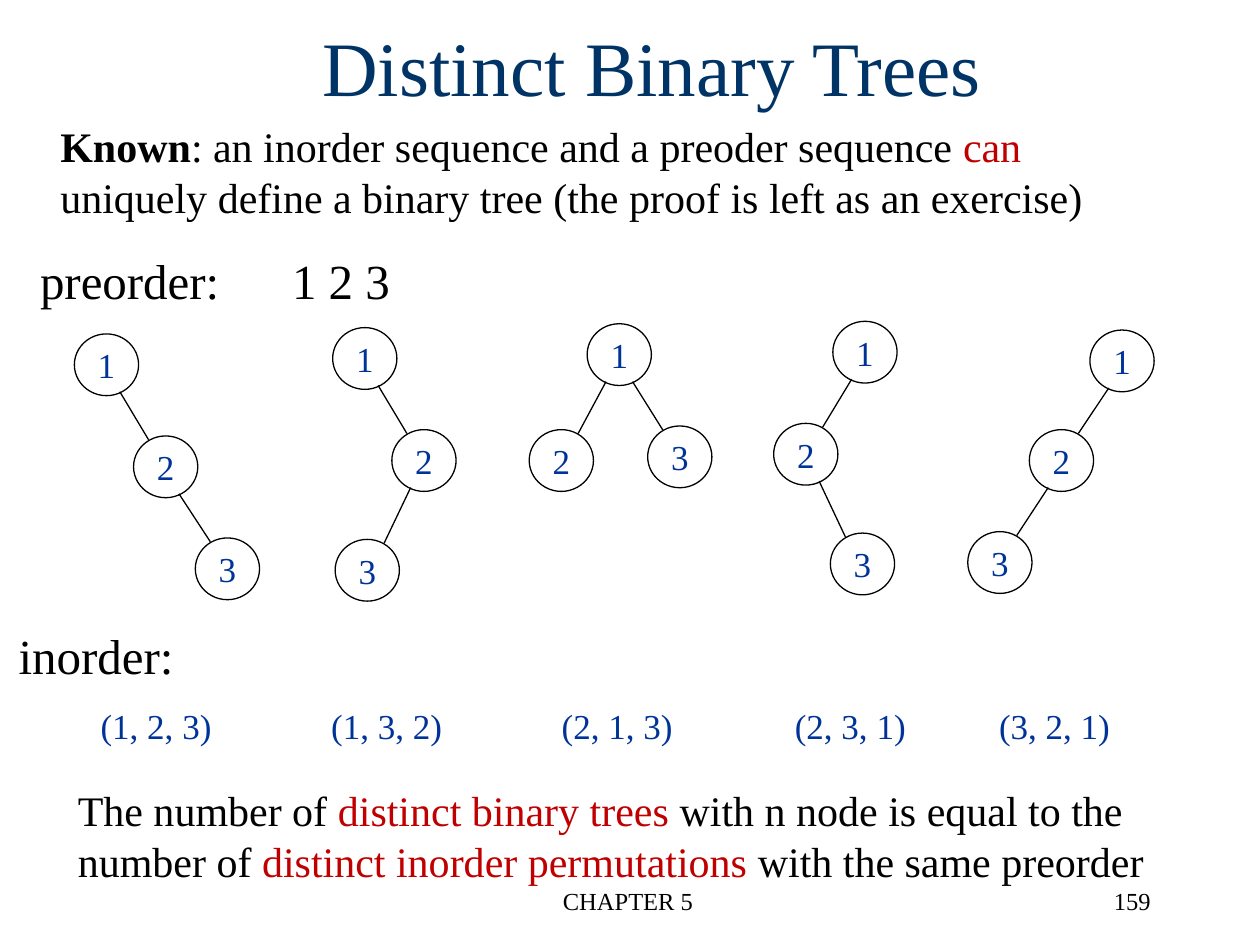
import dataclasses

import pptx
import pptx.dml.color
import pptx.enum.shapes
import pptx.enum.text
import pptx.oxml.ns
import pptx.util
from lxml import etree

Pt = pptx.util.Pt
Align = pptx.enum.text.PP_ALIGN
Anchor = pptx.enum.text.MSO_ANCHOR
FONT = "Times New Roman"
BLACK, NAVY, BLUE, RED = "000000", "003366", "003399", "C00000"
NODE_W, NODE_H = 36.7, 35.3


@dataclasses.dataclass
class Tree:
    """Corners of nodes 1, 2, 3; the parent of node 3; the inorder label."""
    nodes: list[tuple[float, float]]
    parent: int
    label: str
    left: float


@dataclasses.dataclass
class Note:
    left: float
    top: float
    width: float
    height: float
    size: float
    runs: list[tuple[str, str, bool]]
    align: Align = Align.LEFT
    wrap: bool = True


TREES = [
    Tree([(42.5, 190.8), (76.3, 249.1), (111.6, 307.4)], 2, "(1, 2, 3)", 50.4),
    Tree([(190.1, 187.2), (223.9, 245.5), (191.5, 308.2)], 2, "(1, 3, 2)", 182.2),
    Tree([(335.5, 185), (302.4, 245.5), (370.1, 243.4)], 1, "(2, 1, 3)", 313.9),
    Tree([(475.9, 183.6), (442.1, 241.9), (474.5, 304.6)], 2, "(2, 3, 1)", 447.1),
    Tree([(622.8, 188.6), (588.2, 245.5), (553, 303.8)], 2, "(3, 2, 1)", 563.8),
]

NOTES = [
    Note(244.8, 502.6, 228.2, 36, 14, [("CHAPTER 5", BLACK, False)], Align.CENTER),
    Note(514.8, 502.6, 149.8, 36, 14, [("159", BLACK, False)], Align.RIGHT),
    Note(15.8, 139.7, 216.7, 41, 28, [("preorder: \t1 2 3", BLACK, False)], wrap=False),
    Note(3.6, 354.2, 103.7, 41, 28, [("inorder:", BLACK, False)], wrap=False),
    Note(27.4, 65.5, 604, 65.5, 24, [
        ("Known", BLACK, True),
        (": an inorder sequence and a preoder sequence ", BLACK, False),
        ("can", RED, False),
        (" uniquely define a binary tree (the proof is left as an exercise)", BLACK, False),
    ]),
    Note(37.4, 445, 635.8, 65.5, 24, [
        ("The number of ", BLACK, False),
        ("distinct binary trees", RED, False),
        (" with n node is equal to the number of ", BLACK, False),
        ("distinct inorder permutations ", RED, False),
        ("with the same preorder", BLACK, False),
    ]),
]


def paint(fmt, color: str) -> None:
    """Colour a font or a fill."""
    target = fmt.color if hasattr(fmt, "color") else fmt.fore_color
    target.rgb = pptx.dml.color.RGBColor.from_string(color)


def style(para, size: float, color: str, align: Align) -> None:
    para.alignment = align
    para.font.size = Pt(size)
    para.font.name = FONT
    paint(para.font, color)


def add_note(slide, note: Note) -> None:
    box = slide.shapes.add_textbox(
        Pt(note.left), Pt(note.top), Pt(note.width), Pt(note.height))
    box.text_frame.word_wrap = note.wrap
    para = box.text_frame.paragraphs[0]
    style(para, note.size, note.runs[0][1], note.align)
    for text, color, bold in note.runs:
        run = para.add_run()
        run.text = text
        if len(note.runs) > 1:
            run.font.bold = bold
            paint(run.font, color)


def add_node(slide, text: str, left: float, top: float) -> None:
    node = slide.shapes.add_shape(
        pptx.enum.shapes.MSO_SHAPE.OVAL, Pt(left), Pt(top), Pt(NODE_W), Pt(NODE_H))
    node.shadow.inherit = False
    node.fill.background()
    paint(node.line, BLACK)
    node.line.width = Pt(0.75)
    frame = node.text_frame
    frame.word_wrap = False
    frame.vertical_anchor = Anchor.MIDDLE
    frame.text = text
    style(frame.paragraphs[0], 20, BLUE, Align.CENTER)


def add_edge(slide, parent: tuple[float, float], child: tuple[float, float]) -> None:
    """Join the foot of the parent to the head of the child."""
    start, end = (26, 8.6) if child[0] > parent[0] else (10.8, 28)
    edge = slide.shapes.add_connector(
        pptx.enum.shapes.MSO_CONNECTOR.STRAIGHT,
        Pt(parent[0] + start), Pt(parent[1] + 33.1),
        Pt(child[0] + end), Pt(child[1] + 2.2))
    paint(edge.line, BLACK)
    edge.line.width = Pt(0.75)
    etree.SubElement(edge._element.spPr, pptx.oxml.ns.qn("a:effectLst"))


def add_tree(slide, tree: Tree) -> None:
    for num, (left, top) in enumerate(tree.nodes, 1):
        add_node(slide, str(num), left, top)
    for parent, child in ((1, 2), (tree.parent, 3)):
        add_edge(slide, tree.nodes[parent - 1], tree.nodes[child - 1])
    add_note(slide, Note(tree.left, 398.9, 80, 31.7, 20,
                         [(tree.label, BLUE, False)], wrap=False))


def add_title(slide, text: str) -> None:
    title = slide.shapes.title
    title.left, title.top, title.width, title.height = Pt(52.6), Pt(2.2), Pt(640), Pt(90)
    frame = title.text_frame
    frame.vertical_anchor = Anchor.TOP
    frame.margin_top = Pt(9)
    frame.text = text
    style(frame.paragraphs[0], 44, NAVY, Align.CENTER)


def main() -> None:
    deck = pptx.Presentation()
    deck.slide_width, deck.slide_height = Pt(720), Pt(540)
    slide = deck.slides.add_slide(deck.slide_layouts[5])
    add_title(slide, "Distinct Binary Trees")
    for tree in TREES:
        add_tree(slide, tree)
    for note in NOTES:
        add_note(slide, note)
    deck.save("out.pptx")


if __name__ == "__main__":
    main()
